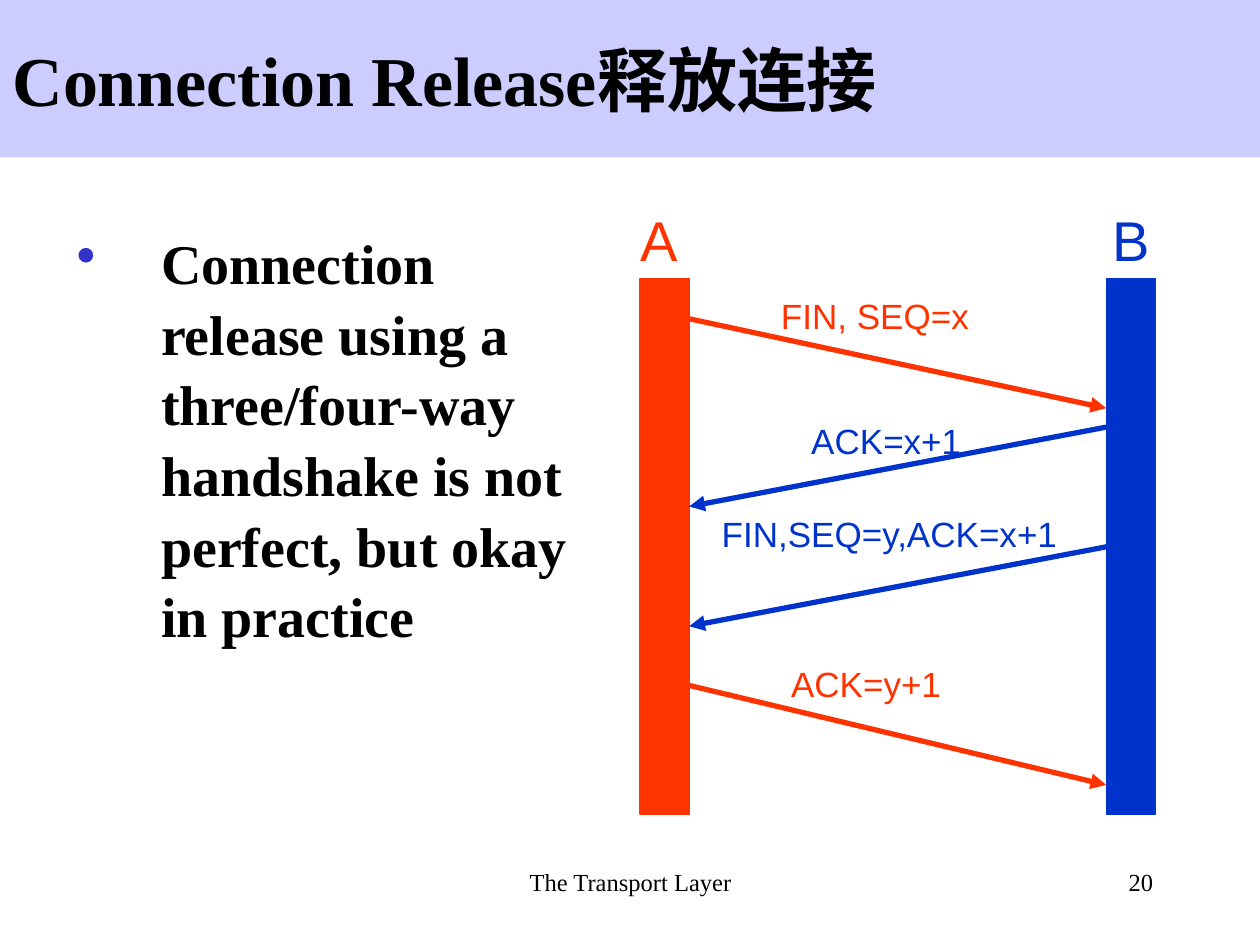
from lxml.etree import SubElement
from pptx import Presentation
from pptx.dml.color import RGBColor
from pptx.enum.shapes import MSO_CONNECTOR as Connector, MSO_SHAPE as Shape
from pptx.enum.text import MSO_ANCHOR as Anchor, MSO_AUTO_SIZE as AutoSize, PP_ALIGN as Align
from pptx.oxml.ns import qn
from pptx.util import Inches, Pt

COLORS = {"band": "CCCCFF", "text": "000000", "bullet": "3333CC",
          "paper": "FFFFFF", "A": "FF3300", "B": "0033CC"}

deck = Presentation()
deck.slide_width, deck.slide_height = Inches(10), Inches(7.5)
column, row = deck.slide_width / 100, deck.slide_height / 75
page = deck.slides.add_slide(deck.slide_layouts[5])


def area(left, top, width, height):
    """Turn grid columns and rows into a shape's position and size."""
    return [round(n * unit) for n, unit in zip((left, top, width, height), (column, row) * 2)]


def write(shape, text, size, color="text", font="Times New Roman", bold=False,
          align=Align.LEFT, anchor=Anchor.TOP, wrap=True, fit=AutoSize.NONE):
    frame = shape.text_frame
    for name, value in {"word_wrap": wrap, "auto_size": fit, "vertical_anchor": anchor}.items():
        setattr(frame, name, value)
    para = frame.paragraphs[0]
    para.alignment = align
    span = para.add_run()
    span.text = text
    for name, value in {"name": font, "size": Pt(size), "bold": bold}.items():
        setattr(span.font, name, value)
    span.font.color.rgb = RGBColor.from_string(COLORS[color])
    return para


# Title band
title = page.shapes.title
title.left, title.top, title.width, title.height = area(0, 0, 100, 12.5)
title.fill.solid()
title.fill.fore_color.rgb = RGBColor.from_string(COLORS["band"])
write(title, "Connection Release释放连接", 40, bold=True, anchor=Anchor.MIDDLE)

# Bulleted statement
body = page.shapes.add_textbox(*area(5.1, 17.1, 42.6, 51.8))
body.text_frame.margin_top = Inches(0.08)
statement = write(body, "Connection release using a three/four-way handshake is not perfect, "
                  "but okay in practice", 32, bold=True)
statement.line_spacing = 1.05
properties = statement._p.get_or_add_pPr()
properties.set("marL", str(Inches(0.67)))
properties.set("indent", str(-Inches(0.67)))
bullet_color = SubElement(properties, qn("a:buClr"))
SubElement(bullet_color, qn("a:srgbClr"), val=COLORS["bullet"])
SubElement(properties, qn("a:buChar"), char="•")

# Footer
for text, align, place in [("The Transport Layer", Align.CENTER, (34.2, 68.3, 31.7, 5)),
                           ("20", Align.RIGHT, (71.7, 68.3, 20.8, 5))]:
    write(page.shapes.add_textbox(*area(*place)), text, 14, align=align)

# Hosts: a name above a vertical time bar
bar_left = {"A": 50.8, "B": 87.8}
bar_width = 3.9
name_place = {"A": (47.6, 9.4), "B": (85.4, 8.7)}
for host, (left, width) in name_place.items():
    label = page.shapes.add_shape(Shape.RECTANGLE, *area(left, 16.6, width, 4.7))
    bar = page.shapes.add_shape(Shape.RECTANGLE, *area(bar_left[host], 22.1, bar_width, 42.5))
    for box, color in ((label, "paper"), (bar, host)):
        box.shadow.inherit = False
        box.fill.solid()
        box.fill.fore_color.rgb = RGBColor.from_string(COLORS[color])
    label.line.fill.background()
    bar.line.color.rgb = RGBColor.from_string(COLORS[host])
    bar.line.width = Pt(0.75)
    write(label, host, 32, host, "Arial", align=Align.CENTER, anchor=Anchor.MIDDLE, wrap=False)

# Messages: sender, rows where the arrow starts and ends, text and its place
facing_side = {"A": bar_left["A"] + bar_width, "B": bar_left["B"]}
messages = [
    ("A", 25.3, 32.4, "FIN, SEQ=x", (61, 22.9, 17, 4.3)),
    ("B", 33.9, 40.2, "ACK=x+1", (63.4, 32.8, 14.4, 4.3)),
    ("B", 43.4, 49.7, "FIN,SEQ=y,ACK=x+1", (56.3, 40.2, 29.4, 4.3)),
    ("A", 54.4, 62.3, "ACK=y+1", (61.8, 52.1, 14.4, 4.3)),
]
for sender, start, end, text, place in messages:
    receiver = "B" if sender == "A" else "A"
    arrow = page.shapes.add_connector(
        Connector.STRAIGHT, *area(facing_side[sender], start, facing_side[receiver], end))
    arrow.line.color.rgb = RGBColor.from_string(COLORS[sender])
    arrow.line.width = Pt(3)
    SubElement(arrow.line._get_or_add_ln(), qn("a:tailEnd"), type="triangle")
    SubElement(arrow._element.spPr, qn("a:effectLst"))
    write(page.shapes.add_textbox(*area(*place)), text, 20, sender, "Arial",
          wrap=False, fit=AutoSize.SHAPE_TO_FIT_TEXT)

deck.save("out.pptx")
